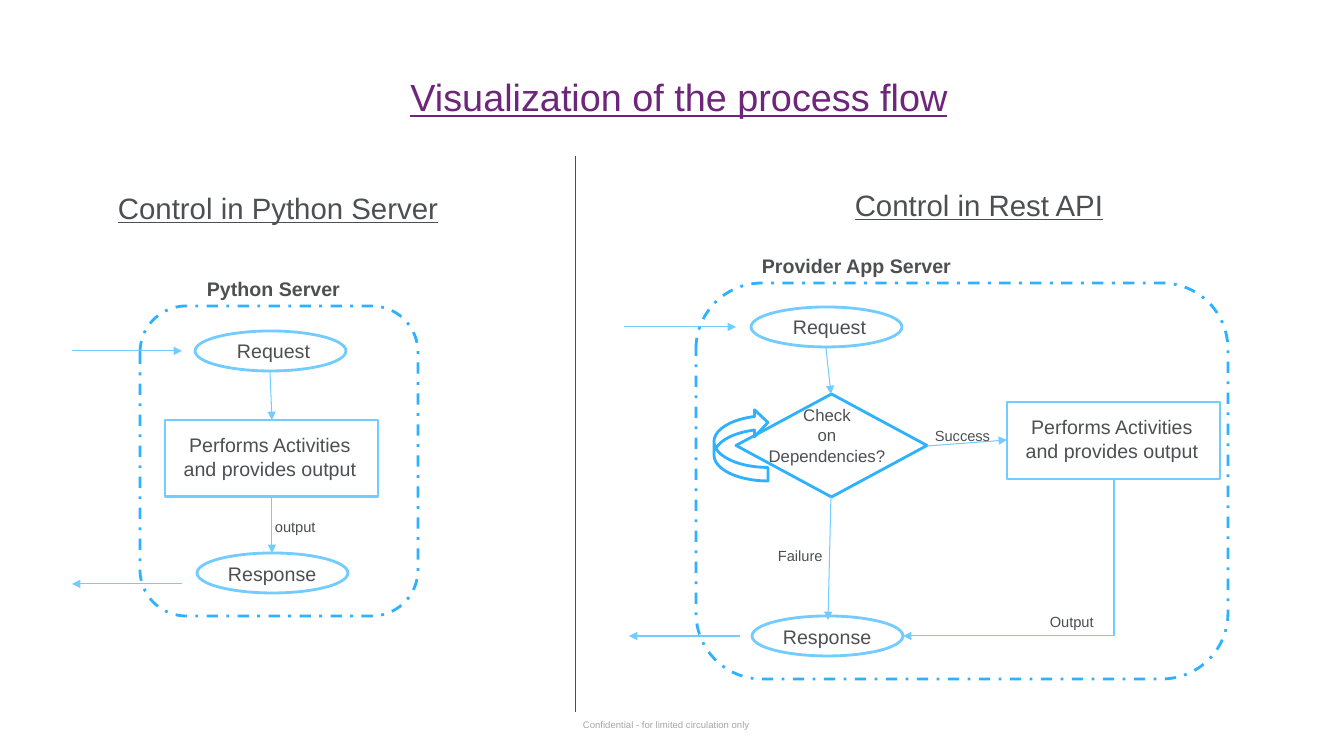
from dataclasses import dataclass

from lxml import etree
from pptx import Presentation
from pptx.dml.color import RGBColor
from pptx.enum.dml import MSO_LINE
from pptx.enum.shapes import MSO_CONNECTOR, MSO_SHAPE
from pptx.enum.text import MSO_ANCHOR, PP_ALIGN
from pptx.oxml.ns import qn
from pptx.util import Emu, Pt

LEFT, CENTER = PP_ALIGN.LEFT, PP_ALIGN.CENTER
TOP, MIDDLE = MSO_ANCHOR.TOP, MSO_ANCHOR.MIDDLE
ELLIPSE, RECTANGLE = MSO_SHAPE.OVAL, MSO_SHAPE.RECTANGLE
ROUNDED, DIAMOND = MSO_SHAPE.ROUNDED_RECTANGLE, MSO_SHAPE.DIAMOND
LOOP_ARROW = MSO_SHAPE.CURVED_UP_ARROW
STRAIGHT, ELBOW = MSO_CONNECTOR.STRAIGHT, MSO_CONNECTOR.ELBOW
DASH_DOT = MSO_LINE.DASH_DOT
EMU_PER_PIXEL = 914400 / 100.8
QUARTER_TURN = "5400000"


@dataclass(frozen=True)
class Theme:
    font: str = "Arial"
    title: str = "6E267B"
    ink: str = "4D4F53"
    muted: str = "A6A6A6"
    step: str = "73CCFF"
    accent: str = "2EB2FF"
    divider: str = "00649D"
    title_size: float = 27
    heading_size: float = 21
    step_size: float = 14
    check_size: float = 12
    label_size: float = 10.5
    footer_size: float = 6.8
    outline: float = 2
    hairline: float = 0.75


THEME = Theme()


def px(length):
    return Emu(round(length * EMU_PER_PIXEL))


def write(frame, text, size=THEME.step_size, color=THEME.ink, align=LEFT,
          anchor=TOP, bold=False, underline=False):
    frame.text = text
    frame.word_wrap = True
    frame.vertical_anchor = anchor
    if align == LEFT:
        frame.margin_right = 0
    for paragraph in frame.paragraphs:
        paragraph.alignment = align
        font = paragraph.runs[0].font
        font.name, font.size = THEME.font, Pt(size)
        font.bold, font.underline = bold, underline
        font.color.rgb = RGBColor.from_string(color)


class FlowSlide:
    def __init__(self, slide, theme):
        self.shapes = slide.shapes
        self.theme = theme

    def text(self, left, top, width, height, words, **style):
        box = self.shapes.add_textbox(px(left), px(top), px(width), px(height))
        write(box.text_frame, words, **style)

    def label(self, left, top, width, words):
        self.text(left, top, width, 28, words, size=self.theme.label_size)

    def heading(self, left, top, width, words):
        self.text(left, top, width, 71, words, size=self.theme.heading_size,
                  align=CENTER, anchor=MIDDLE, underline=True)

    def outline(self, kind, left, top, width, height, color, dash=None):
        shape = self.shapes.add_shape(kind, px(left), px(top), px(width), px(height))
        shape.shadow.inherit = False
        shape.fill.background()
        shape.line.color.rgb = RGBColor.from_string(color)
        shape.line.width = Pt(self.theme.outline)
        if dash:
            shape.line.dash_style = dash
        return shape

    def request(self, left, top):
        self.outline(ELLIPSE, left, top, 151, 40, self.theme.step)
        self.text(left + 32, top + 3, 94, 34, "Request")

    def response(self, left, top):
        self.outline(ELLIPSE, left, top, 151, 40, self.theme.step)
        self.text(left + 21, top + 4, 109, 34, "Response")

    def activity(self, left, top):
        self.outline(RECTANGLE, left, top, 213, 77, self.theme.step)
        self.text(left + 3, top + 8, 204, 57,
                  "Performs Activities and provides output", align=CENTER)

    def server(self, left, top, width, height):
        self.outline(ROUNDED, left, top, width, height, self.theme.accent, DASH_DOT)

    def loop(self, left, top, width, height):
        shape = self.outline(LOOP_ARROW, left, top, width, height, self.theme.accent)
        shape.rotation = 270
        shape._element.spPr.xfrm.set("flipV", "1")

    def line(self, x1, y1, x2, y2, color, kind=STRAIGHT):
        line = self.shapes.add_connector(kind, px(x1), px(y1), px(x2), px(y2))
        line.line.color.rgb = RGBColor.from_string(color)
        line.line.width = Pt(self.theme.hairline)
        etree.SubElement(line._element.spPr, qn("a:effectLst"))
        return line

    def arrow(self, x1, y1, x2, y2, kind=STRAIGHT):
        line = self.line(x1, y1, x2, y2, self.theme.step, kind)
        etree.SubElement(line.line._get_or_add_ln(), qn("a:tailEnd"), type="triangle")
        return line

    def down_left_arrow(self, x1, y1, x2, y2):
        center_x, center_y = (x1 + x2) / 2, (y1 + y2) / 2
        half_width, half_height = (y2 - y1) / 2, (x1 - x2) / 2
        bend = self.arrow(center_x - half_width, center_y - half_height,
                          center_x + half_width, center_y + half_height, ELBOW)
        properties = bend._element.spPr
        properties.find(qn("a:xfrm")).set("rot", QUARTER_TURN)
        properties.find(qn("a:prstGeom")).set("prst", "bentConnector2")


def draw_python_server(flow):
    flow.heading(100, 172, 356, "Control in Python Server")
    flow.text(197, 272, 160, 34, "Python Server", bold=True)
    flow.server(140, 306, 278, 310)
    flow.request(195, 331)
    flow.activity(165, 420)
    flow.response(197, 553)
    for route in ((270, 371, 272, 420), (272, 497, 272, 553),
                  (72, 351, 182, 351), (182, 584, 72, 584)):
        flow.arrow(*route)
    flow.label(265, 513, 61, "output")


def draw_rest_api(flow):
    flow.heading(682, 169, 594, "Control in Rest API")
    flow.text(752, 249, 217, 34, "Provider App Server", bold=True)
    flow.server(696, 283, 532, 396)
    flow.request(751, 307)
    flow.activity(1007, 402)
    flow.response(752, 616)
    flow.outline(DIAMOND, 736, 394, 191, 103, flow.theme.accent)
    flow.text(754, 400, 146, 72, "Check\non\nDependencies?",
              size=flow.theme.check_size, align=CENTER)
    for route in ((624, 327, 736, 327), (740, 636, 629, 636),
                  (826, 348, 831, 394), (831, 497, 828, 620),
                  (927, 446, 1007, 440)):
        flow.arrow(*route)
    flow.down_left_arrow(1114, 479, 903, 636)
    flow.loop(705, 418, 72, 54)
    flow.label(925, 422, 80, "Success")
    flow.label(768, 542, 66, "Failure")
    flow.label(1040, 608, 65, "Output")


deck = Presentation()
deck.slide_width, deck.slide_height = px(1344), px(756)
flow = FlowSlide(deck.slides.add_slide(deck.slide_layouts[6]), THEME)
flow.text(573, 714, 186, 21, "Confidential - for limited circulation only",
          size=THEME.footer_size, color=THEME.muted)
flow.text(74, 61, 1210, 71, "Visualization of the process flow",
          size=THEME.title_size, color=THEME.title, align=CENTER,
          anchor=MIDDLE, underline=True)
draw_python_server(flow)
draw_rest_api(flow)
flow.line(576, 156, 576, 712, THEME.divider)
deck.save("out.pptx")
